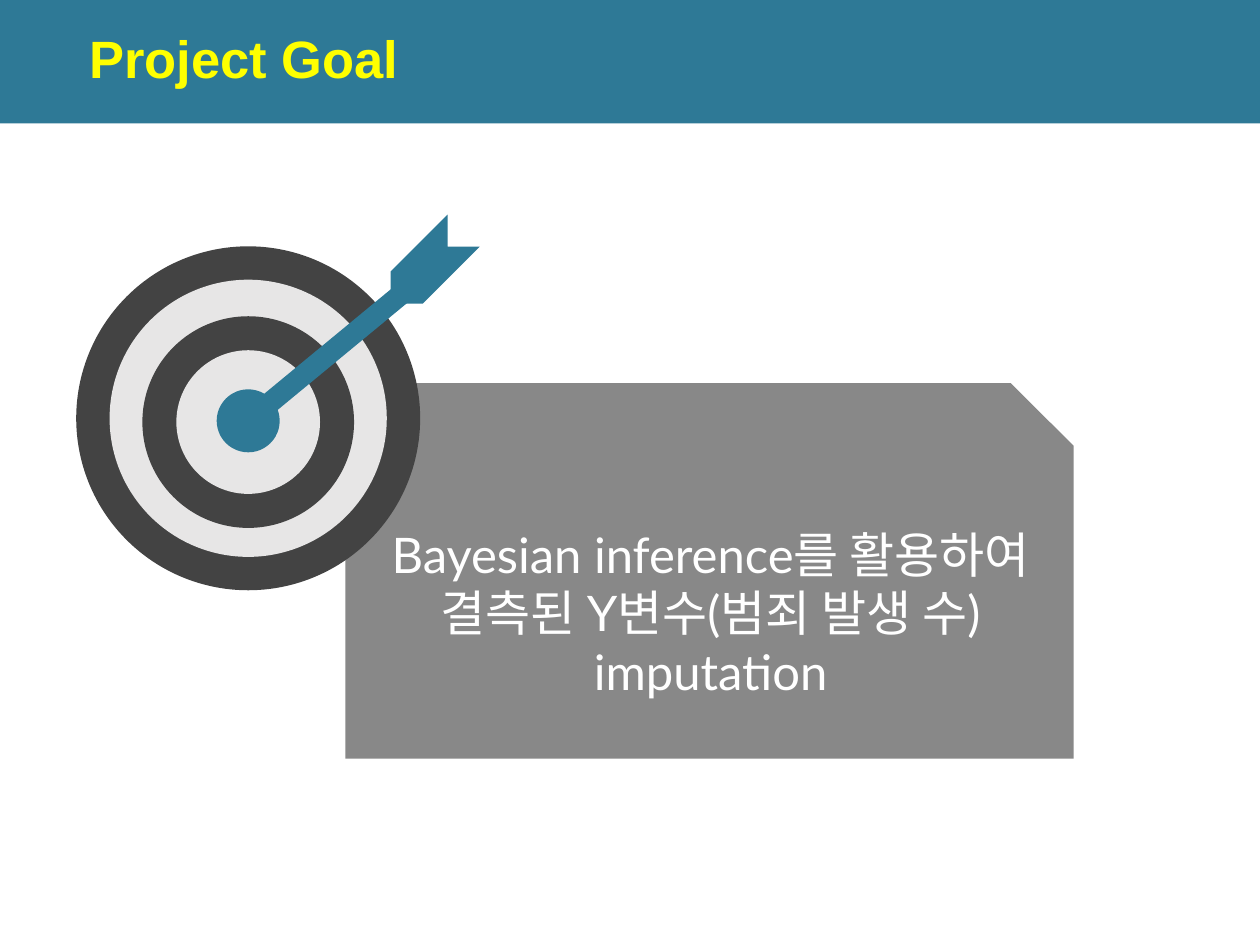
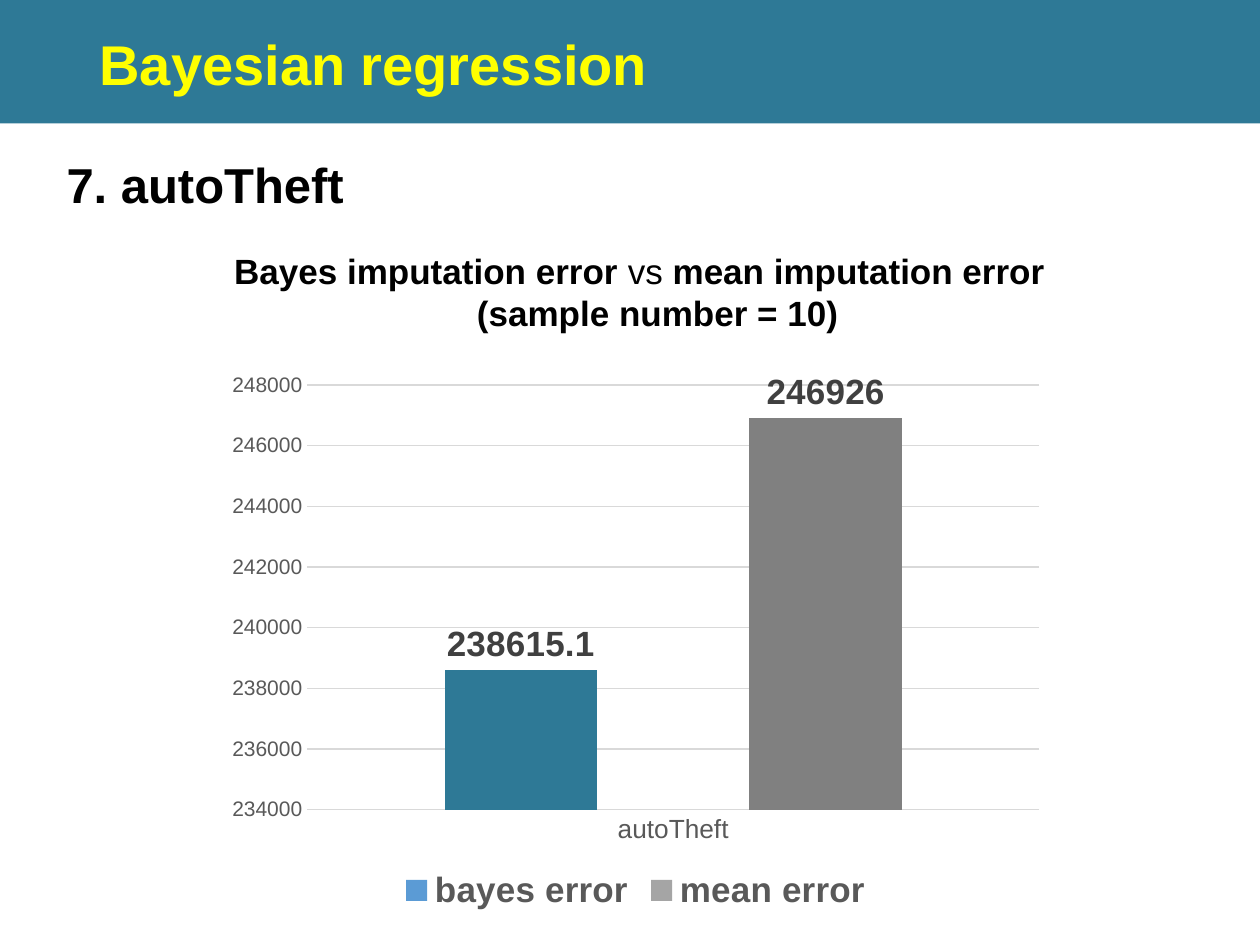
from dataclasses import dataclass

import lxml.etree
import pptx
import pptx.chart.data
import pptx.dml.color
import pptx.enum.chart
import pptx.enum.shapes
import pptx.enum.text
import pptx.oxml.ns
import pptx.util

Inches = pptx.util.Inches
Pt = pptx.util.Pt
Shapes = pptx.enum.shapes.MSO_SHAPE
Align = pptx.enum.text.PP_ALIGN


@dataclass(frozen=True)
class Theme:
    teal: str = "2E7996"
    yellow: str = "FFFF00"
    white: str = "FFFFFF"
    black: str = "000000"
    panel: str = "888888"
    ring_dark: str = "434343"
    ring_light: str = "E7E6E6"
    axis_text: str = "595959"
    label_text: str = "404040"
    grid: str = "D9D9D9"
    bayes_legend: str = "5B9BD5"
    mean_legend: str = "A5A5A5"
    mean_bar: str = "808080"
    font: str = "Arial"
    statement_font: str = "Lato"
    heading_size: int = 28
    label_size: int = 20
    category_size: int = 15
    value_size: int = 12


THEME = Theme()


def rgb(color):
    return pptx.dml.color.RGBColor.from_string(color)


def paint(fill, color):
    fill.solid()
    fill.fore_color.rgb = rgb(color)


def style_font(font, size, color, bold=False, name=THEME.font):
    font.name = name
    font.size = Pt(size)
    font.bold = bold
    font.color.rgb = rgb(color)


def add_filled_shape(shapes, kind, left, top, width, height, color):
    shape = shapes.add_shape(kind, Inches(left), Inches(top), Inches(width), Inches(height))
    shape.shadow.inherit = False
    paint(shape.fill, color)
    shape.line.fill.background()
    return shape


def add_disc(shapes, center_x, center_y, diameter, color):
    radius = diameter / 2
    add_filled_shape(shapes, Shapes.OVAL, center_x - radius, center_y - radius, diameter, diameter, color)


def add_thick_line(shapes, start, end, width, color):
    connector = shapes.add_connector(
        pptx.enum.shapes.MSO_CONNECTOR.STRAIGHT, *(Inches(value) for value in start + end))
    connector.line.width = Pt(width)
    connector.line.color.rgb = rgb(color)
    lxml.etree.SubElement(connector.element.spPr, pptx.oxml.ns.qn("a:effectLst"))


def add_text(slide, box, lines, size, color, bold=False, name=THEME.font, alignment=Align.LEFT, inset=0.05):
    shape = slide.shapes.add_textbox(*(Inches(value) for value in box))
    text_frame = shape.text_frame
    text_frame.word_wrap = True
    text_frame.margin_top = text_frame.margin_bottom = Inches(inset)
    text_frame.text = "\n".join(lines)
    for paragraph in text_frame.paragraphs:
        paragraph.alignment = alignment
        for run in paragraph.runs:
            style_font(run.font, size, color, bold, name)
    return text_frame


def add_titled_slide(presentation, layout, title, left, top, size):
    slide = presentation.slides.add_slide(layout)
    shape = slide.shapes.title
    shape.left, shape.top = Inches(left), Inches(top)
    shape.width, shape.height = Inches(9.06), Inches(0.63)
    text_frame = shape.text_frame
    text_frame.text = title
    text_frame.auto_size = pptx.enum.text.MSO_AUTO_SIZE.NONE
    text_frame.vertical_anchor = pptx.enum.text.MSO_ANCHOR.MIDDLE
    paragraph = text_frame.paragraphs[0]
    paragraph.alignment = Align.LEFT
    paragraph.line_spacing = 0.9
    style_font(paragraph.runs[0].font, size, THEME.yellow, True)
    return slide


def move_band_to_layout(slide, layout):
    band = add_filled_shape(slide.shapes, Shapes.RECTANGLE, 0, 0, 10, 0.98, THEME.teal)
    band.element.nvSpPr.cNvPr.set("id", "20")
    layout.shapes.element.insert(2, band.element)


def add_target(slide):
    shapes = slide.shapes.add_group_shape().shapes
    center_x = 1.97
    rings = [(2.73, 3.32), (2.2, 3.32), (1.68, 3.35), (1.14, 3.35)]
    for index, (diameter, center_y) in enumerate(rings):
        color = THEME.ring_light if index % 2 else THEME.ring_dark
        add_disc(shapes, center_x, center_y, diameter, color)
    add_thick_line(shapes, (1.98, 3.33), (3.24, 2.29), 12, THEME.teal)
    feather = add_filled_shape(shapes, Shapes.CHEVRON, 2.98, 1.94, 0.82, 0.36, THEME.teal)
    feather.rotation = 135
    add_disc(shapes, center_x, 3.34, 0.5, THEME.teal)


def style_axis(axis, size):
    axis.major_tick_mark = pptx.enum.chart.XL_TICK_MARK.NONE
    axis.minor_tick_mark = pptx.enum.chart.XL_TICK_MARK.NONE
    style_font(axis.tick_labels.font, size, THEME.axis_text)


def style_line(line):
    line.color.rgb = rgb(THEME.grid)
    line.width = Pt(0.75)


def style_series(series, legend_color, bar_color):
    paint(series.format.fill, legend_color)
    paint(series.points[0].format.fill, bar_color)
    labels = series.data_labels
    labels.show_value = True
    labels.position = pptx.enum.chart.XL_LABEL_POSITION.OUTSIDE_END
    style_font(labels.font, THEME.label_size, THEME.label_text, True)


def add_error_chart(slide):
    data = pptx.chart.data.CategoryChartData()
    data.categories = ["autoTheft"]
    data.add_series("bayes error", [238615.1])
    data.add_series("mean error", [246926])
    chart = slide.shapes.add_chart(
        pptx.enum.chart.XL_CHART_TYPE.COLUMN_CLUSTERED,
        Inches(1.71), Inches(2.88), Inches(6.67), Inches(4.4), data).chart
    style_font(chart.font, 10, THEME.black)
    chart.has_title = False
    chart.has_legend = True
    chart.legend.position = pptx.enum.chart.XL_LEGEND_POSITION.BOTTOM
    chart.legend.include_in_layout = False
    style_font(chart.legend.font, THEME.label_size, THEME.axis_text, True)

    style_axis(chart.category_axis, THEME.category_size)
    style_line(chart.category_axis.format.line)
    value_axis = chart.value_axis
    style_axis(value_axis, THEME.value_size)
    value_axis.minimum_scale, value_axis.maximum_scale = 234000, 248000
    value_axis.major_unit = 2000
    value_axis.format.line.fill.background()
    style_line(value_axis.major_gridlines.format.line)

    plot = chart.plots[0]
    plot.vary_by_categories = False
    plot.gap_width = 180
    plot.overlap = -100
    bayes, mean = plot.series
    style_series(bayes, THEME.bayes_legend, THEME.teal)
    style_series(mean, THEME.mean_legend, THEME.mean_bar)


def add_chart_heading(slide):
    text_frame = add_text(
        slide, (1.76, 1.93, 6.92, 0.77), ["Bayes imputation error ", "(sample number = 10)"],
        THEME.label_size, THEME.black, True)
    comparison, sample = text_frame.paragraphs
    for text, bold in (("vs", False), (" mean imputation error", True)):
        run = comparison.add_run()
        run.text = text
        style_font(run.font, THEME.label_size, THEME.black, bold)
    sample.alignment = Align.CENTER


def build_goal_slide(presentation, layout):
    slide = add_titled_slide(presentation, layout, "Project Goal", 0.61, 0.17, 30)
    move_band_to_layout(slide, layout)
    panel = add_filled_shape(
        slide.shapes, Shapes.SNIP_1_RECTANGLE, 2.74, 3.04, 5.78, 2.98, THEME.panel)
    panel.adjustments[0] = 0.167
    add_text(
        slide, (2.55, 4.06, 6.18, 0.63),
        ["Bayesian inference를 활용하여", "결측된 Y변수(범죄 발생 수) imputation"],
        THEME.heading_size, THEME.white, name=THEME.statement_font, alignment=Align.CENTER, inset=0.1)
    add_target(slide)


def build_regression_slide(presentation, layout):
    slide = add_titled_slide(presentation, layout, "Bayesian regression", 0.69, 0.22, 32)
    add_text(slide, (0.43, 1.18, 4.54, 0.57), ["7. autoTheft"], THEME.heading_size, THEME.black, True)
    add_error_chart(slide)
    add_chart_heading(slide)


def main():
    presentation = pptx.Presentation()
    presentation.slide_width, presentation.slide_height = Inches(10), Inches(7.5)
    layout = presentation.slide_layouts.get_by_name("Title Only")
    build_goal_slide(presentation, layout)
    build_regression_slide(presentation, layout)
    presentation.save("out.pptx")


if __name__ == "__main__":
    main()
